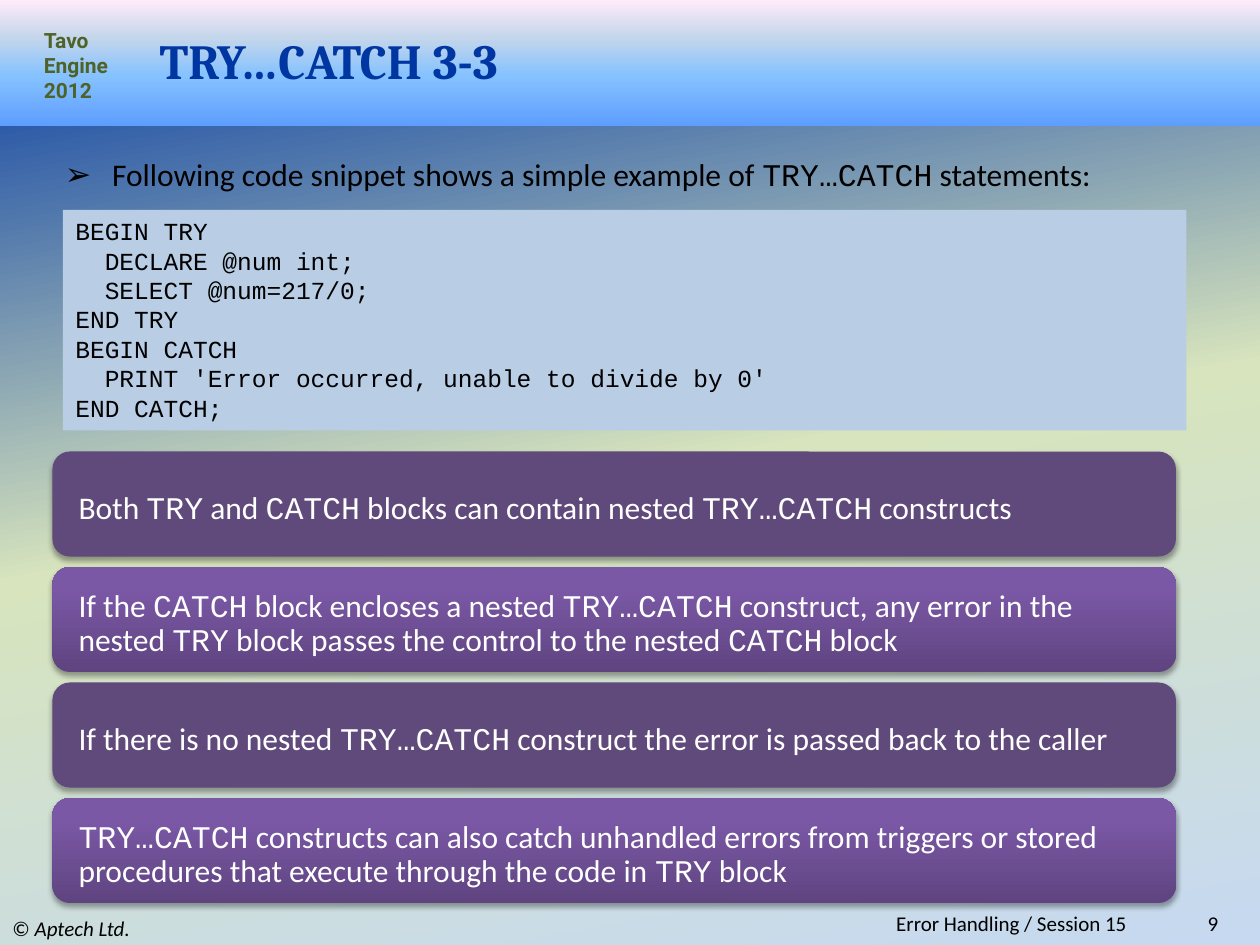
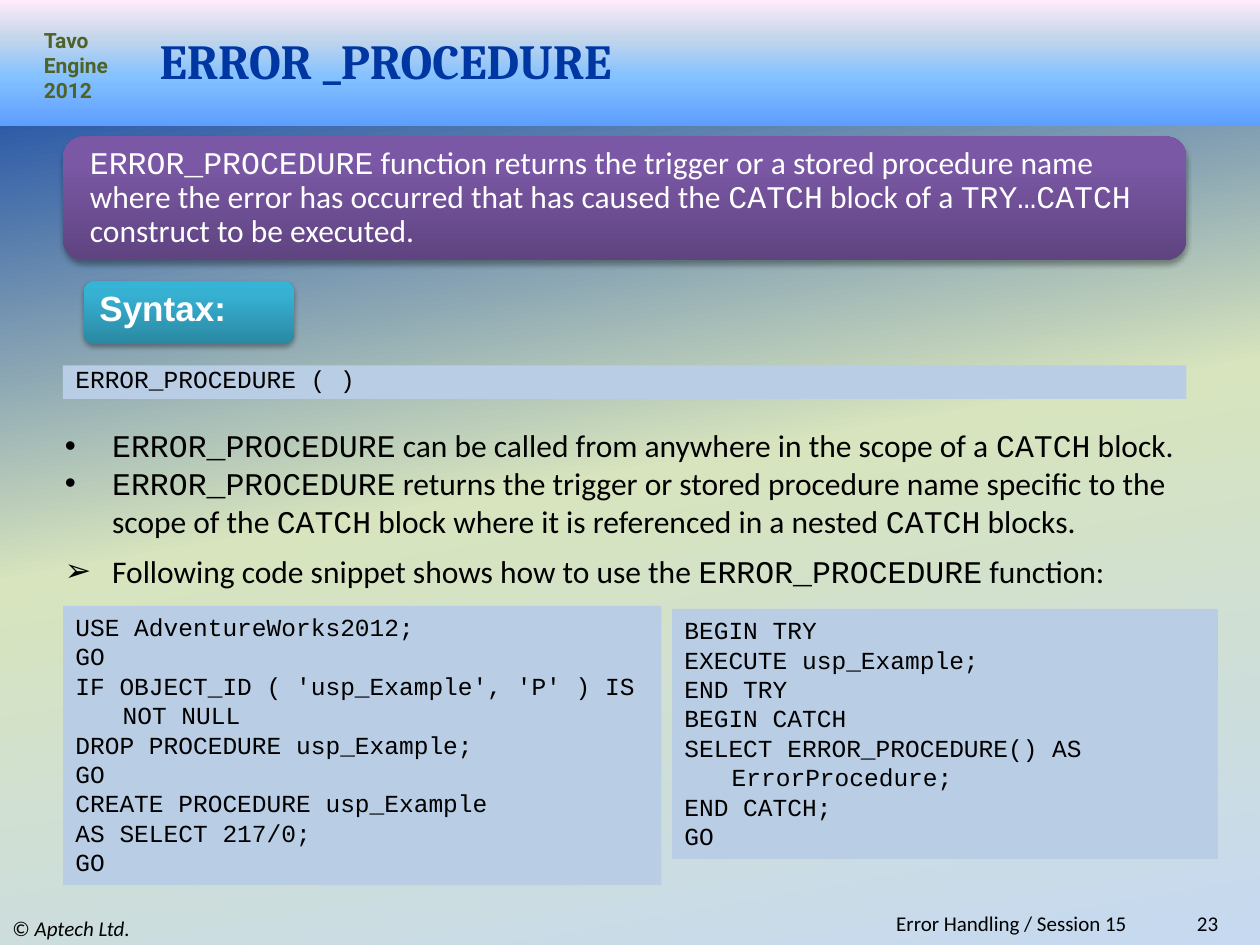
from dataclasses import dataclass, replace

from lxml.etree import SubElement
from pptx import Presentation
from pptx.dml.color import RGBColor
from pptx.enum.shapes import MSO_SHAPE
from pptx.enum.text import MSO_ANCHOR, MSO_AUTO_SIZE, PP_ALIGN
from pptx.oxml import parse_xml
from pptx.oxml.ns import nsdecls, qn
from pptx.util import Emu, Pt

EMU_PER_PX = 7620  # 120 px to the inch
HANGING = 45
MONO = "Courier New"

NAVY, BLACK, WHITE, OLIVE = "0036A2", "000000", "FFFFFF", "4F6228"
CODE_BLUE, DARK_PURPLE = "B9CDE5", "604A7B"
Stops = list[tuple[int, str]]
BACKGROUND: Stops = [(0, NAVY), (50, "D7E4BD"), (100, "C6D9F1")]
BAND: Stops = [(0, "5E9EFF"), (40, "85C2FF"), (70, "C4D6EB"), (100, "FFEBFA")]
PURPLE: Stops = [(0, "5F4480"), (80, "7B58A6"), (100, "7C57A8")]
TEAL: Stops = [(0, "2A88A2"), (80, "37B1D2"), (100, "34B4D6")]


@dataclass(frozen=True)
class Area:
    left: int
    top: int
    width: int
    height: int

    def emu(self) -> tuple[Emu, ...]:
        return tuple(map(px, (self.left, self.top, self.width, self.height)))


@dataclass(frozen=True)
class Style:
    """Text look; backticks in the text mark the spans that use the marked_ values."""
    size: int = 18
    font: str = "Calibri"
    color: str = BLACK
    bold: bool = False
    align: PP_ALIGN = PP_ALIGN.LEFT
    anchor: MSO_ANCHOR = MSO_ANCHOR.TOP
    line_spacing: float = 1.0
    hanging: bool = False
    bullet: str = ""
    marked_font: str = MONO
    marked_italic: bool = False


TITLE = Style(28, "Cambria", NAVY, bold=True, anchor=MSO_ANCHOR.MIDDLE)
PRODUCT = Style(12, "Roboto", OLIVE, bold=True)
COPYRIGHT = Style(12, anchor=MSO_ANCHOR.MIDDLE, marked_font="Calibri", marked_italic=True)
FOOTER = Style(12, align=PP_ALIGN.RIGHT, anchor=MSO_ANCHOR.MIDDLE)
ARROW = Style(hanging=True, bullet="➢")
DOT = replace(ARROW, bullet="•")
CODE = Style(14, MONO, hanging=True)
SYNTAX_CODE = Style(14, MONO, line_spacing=0.7)
SYNTAX_LABEL = Style(20, "Arial", WHITE, bold=True, anchor=MSO_ANCHOR.MIDDLE, line_spacing=0.7)
CARD = Style(color=WHITE, anchor=MSO_ANCHOR.MIDDLE, line_spacing=0.9)


def px(length: int) -> Emu:
    return Emu(length * EMU_PER_PX)


def rgb(color: str) -> RGBColor:
    return RGBColor.from_string(color)


def set_gradient(fill, element, stops: Stops, angle: int) -> None:
    """Give fill any number of stops; angle runs clockwise."""
    fill.gradient()
    fill.gradient_angle = 360 - angle
    stop_list = element.find(f".//{qn('a:gradFill')}/{qn('a:gsLst')}")
    for stop in list(stop_list):
        stop_list.remove(stop)
    for position, color in stops:
        stop = SubElement(stop_list, qn("a:gs"), pos=str(position * 1000))
        SubElement(stop, qn("a:srgbClr"), val=color)


def set_shadow(shape) -> None:
    shape.element.spPr.find(qn("a:effectLst")).append(parse_xml(
        f'<a:outerShdw {nsdecls("a")} blurRad="40000" dist="23000" dir="5400000" rotWithShape="0">'
        '<a:srgbClr val="000000"><a:alpha val="35000"/></a:srgbClr></a:outerShdw>'))


def set_bullet(para, bullet: str) -> None:
    properties = para._p.get_or_add_pPr()
    properties.set("marL", str(px(HANGING)))
    properties.set("indent", str(-px(HANGING)))
    if bullet:
        SubElement(properties, qn("a:buFont"), typeface="Arial")
        SubElement(properties, qn("a:buChar"), char=bullet)


def write(frame, text: str, style: Style) -> None:
    frame.word_wrap = True
    frame.auto_size = MSO_AUTO_SIZE.NONE
    frame.vertical_anchor = style.anchor
    frame.text = text.replace("`", "")
    for para, line in zip(frame.paragraphs, text.split("\n")):
        if style.hanging:
            set_bullet(para, style.bullet)
        para.alignment = style.align
        para.line_spacing = style.line_spacing
        para.clear()
        for index, words in enumerate(line.split("`")):
            if not words:
                continue
            marked = index % 2 == 1
            span = para.add_run()
            span.text = words
            span.font.name = style.marked_font if marked else style.font
            span.font.size = Pt(style.size)
            span.font.bold = style.bold
            span.font.italic = marked and style.marked_italic
            span.font.color.rgb = rgb(style.color)


def add_text(page, area: Area, text: str, style: Style) -> None:
    write(page.shapes.add_textbox(*area.emu()).text_frame, text, style)


def add_panel(page, area: Area, fill: str | Stops, rounded: bool = False):
    """Add a borderless box; rounded ones cast a shadow."""
    kind = MSO_SHAPE.ROUNDED_RECTANGLE if rounded else MSO_SHAPE.RECTANGLE
    panel = page.shapes.add_shape(kind, *area.emu())
    panel.shadow.inherit = False
    panel.line.fill.background()
    if isinstance(fill, str):
        panel.fill.solid()
        panel.fill.fore_color.rgb = rgb(fill)
    else:
        set_gradient(panel.fill, panel.element, fill, 270)
    if rounded:
        set_shadow(panel)
    return panel


def add_code(page, area: Area, text: str, style: Style = CODE) -> None:
    write(add_panel(page, area, CODE_BLUE).text_frame, text, style)


def add_card(page, area: Area, text: str, fill: str | Stops, top_margin: int) -> None:
    frame = add_panel(page, area, fill, rounded=True).text_frame
    frame.margin_left = frame.margin_right = px(20)
    frame.margin_top, frame.margin_bottom = px(top_margin), px(10)
    write(frame, text, CARD)


def add_page(deck, title: str, number: int):
    """Add a slide with the shared band, title and footers."""
    page = deck.slides.add_slide(deck.slide_layouts[5])
    band = add_panel(page, Area(0, 0, 1200, 120), BAND)
    page.shapes.title.element.addprevious(band.element)
    heading = page.shapes.title
    heading.left, heading.top, heading.width, heading.height = Area(140, 30, 1000, 54).emu()
    write(heading.text_frame, title, TITLE)
    for span in heading.text_frame.paragraphs[0].runs:
        span.font._element.insert(0, parse_xml(
            f'<a:ln {nsdecls("a")} w="900"><a:solidFill><a:srgbClr val="C00000">'
            '<a:alpha val="55000"/></a:srgbClr></a:solidFill></a:ln>'))
    add_text(page, Area(30, 20, 90, 85), "Tavo Engine 2012", PRODUCT)
    add_text(page, Area(0, 868, 400, 32), "© `Aptech Ltd.`", COPYRIGHT)
    add_text(page, Area(300, 868, 785, 22), "Error Handling / Session 15", FOOTER)
    add_text(page, Area(1070, 868, 102, 22), str(number), FOOTER)
    return page


def build_try_catch(deck) -> None:
    page = add_page(deck, "TRY…CATCH 3-3", 9)
    add_text(page, Area(50, 142, 1090, 48),
             "Following code snippet shows a simple example of `TRY…CATCH` statements:", ARROW)
    add_code(page, Area(60, 200, 1070, 210), """BEGIN TRY
  DECLARE @num int;
  SELECT @num=217/0;
END TRY
BEGIN CATCH
  PRINT 'Error occurred, unable to divide by 0'
END CATCH;""")
    facts = [
        "Both `TRY` and `CATCH` blocks can contain nested `TRY…CATCH` constructs",
        "If the `CATCH` block encloses a nested `TRY…CATCH` construct, any error in the "
        "nested `TRY` block passes the control to the nested `CATCH` block",
        "If there is no nested `TRY…CATCH` construct the error is passed back to the caller",
        "`TRY…CATCH` constructs can also catch unhandled errors from triggers or stored "
        "procedures that execute through the code in `TRY` block",
    ]
    for row, fact in enumerate(facts):
        fill = PURPLE if row % 2 else DARK_PURPLE
        add_card(page, Area(50, 430 + 110 * row, 1070, 100), fact, fill, top_margin=20)


def build_error_procedure(deck) -> None:
    page = add_page(deck, "ERROR _PROCEDURE", 23)
    add_card(page, Area(60, 130, 1070, 118),
             "`ERROR_PROCEDURE` function returns the trigger or a stored procedure name where "
             "the error has occurred that has caused the `CATCH` block of a `TRY…CATCH` "
             "construct to be executed.", PURPLE, top_margin=10)
    add_code(page, Area(60, 348, 1070, 32), "ERROR_PROCEDURE ( )", SYNTAX_CODE)
    label = add_panel(page, Area(80, 268, 200, 60), TEAL, rounded=True)
    write(label.text_frame, "Syntax:", SYNTAX_LABEL)
    add_text(page, Area(50, 400, 1110, 121),
             "`ERROR_PROCEDURE` can be called from anywhere in the scope of a `CATCH` block.\n"
             "`ERROR_PROCEDURE` returns the trigger or stored procedure name specific to the "
             "scope of the `CATCH` block where it is referenced in a nested `CATCH` blocks.", DOT)
    add_text(page, Area(50, 520, 1050, 48),
             "Following code snippet shows how to use the `ERROR_PROCEDURE` function:", ARROW)
    add_code(page, Area(60, 577, 570, 266), """USE AdventureWorks2012;
GO
IF OBJECT_ID ( 'usp_Example', 'P' ) IS NOT NULL
DROP PROCEDURE usp_Example;
GO
CREATE PROCEDURE usp_Example
AS SELECT 217/0;
GO""")
    add_code(page, Area(640, 580, 520, 238), """BEGIN TRY
EXECUTE usp_Example;
END TRY
BEGIN CATCH
SELECT ERROR_PROCEDURE() AS ErrorProcedure;
END CATCH;
GO""")


def main() -> None:
    deck = Presentation()
    deck.slide_width, deck.slide_height = px(1200), px(900)
    master = deck.slide_master
    set_gradient(master.background.fill, master.element, BACKGROUND, 80)
    build_try_catch(deck)
    build_error_procedure(deck)
    deck.save("out.pptx")


if __name__ == "__main__":
    main()
